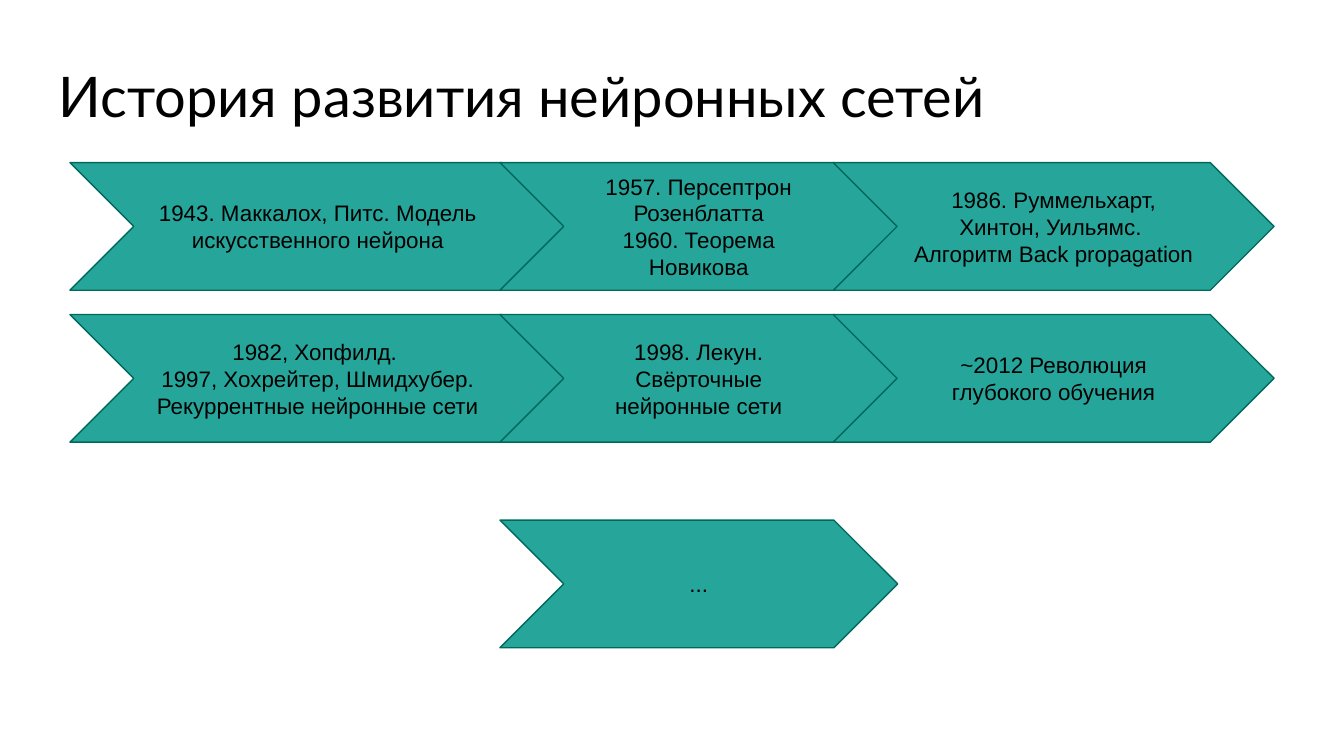
"""Build a slide with a chevron timeline of neural network history."""
from pptx import Presentation
from pptx.dml.color import RGBColor
from pptx.enum.shapes import MSO_SHAPE
from pptx.enum.text import MSO_ANCHOR, PP_ALIGN
from pptx.util import Inches, Pt

CHEVRON = MSO_SHAPE.CHEVRON
TOP, MIDDLE = MSO_ANCHOR.TOP, MSO_ANCHOR.MIDDLE
LEFT, CENTER = PP_ALIGN.LEFT, PP_ALIGN.CENTER

COLORS = {"fill": "26A69A", "line": "00695C", "text": "000000"}
SLIDE_WIDTH = 10
SLIDE_HEIGHT = SLIDE_WIDTH * 9 / 16
TITLE = "История развития нейронных сетей"
COLUMNS = [(0.52, 3.69), (3.72, 2.96), (6.2, 3.28)]
STEP_HEIGHT = 0.95
ROWS = [
    (1.21, [
        (0, ["1943. Маккалох, Питс. Модель искусственного нейрона"]),
        (1, ["1957. Персептрон Розенблатта", "1960. Теорема Новикова"]),
        (2, ["1986. Руммельхарт, Хинтон, Уильямс. ", "Алгоритм Back propagation"]),
    ]),
    (2.34, [
        (0, ["1982, Хопфилд. ", "1997, Хохрейтер, Шмидхубер.",
             "Рекуррентные нейронные сети"]),
        (1, ["1998. Лекун. Свёрточные нейронные сети"]),
        (2, ["~2012 Революция глубокого обучения"]),
    ]),
    (3.87, [(1, ["..."])]),
]


def color(name):
    return RGBColor.from_string(COLORS[name])


def write(frame, lines, font_name, size, align, anchor):
    frame.word_wrap = True
    frame.vertical_anchor = anchor
    frame.margin_left = frame.margin_right = Inches(0.1)
    frame.margin_top = frame.margin_bottom = Inches(0.1)
    for index, line in enumerate(lines):
        paragraph = frame.add_paragraph() if index else frame.paragraphs[0]
        paragraph.text = line
        paragraph.alignment = align
        paragraph.font.name = font_name
        paragraph.font.size = Pt(size)
        paragraph.font.color.rgb = color("text")


def add_step(slide, column, top, lines):
    left, width = COLUMNS[column]
    step = slide.shapes.add_shape(
        CHEVRON, Inches(left), Inches(top), Inches(width), Inches(STEP_HEIGHT))
    step.adjustments[0] = 0.5
    step.shadow.inherit = False
    step.fill.solid()
    step.fill.fore_color.rgb = color("fill")
    step.line.color.rgb = color("line")
    step.line.width = Pt(0.75)
    write(step.text_frame, lines, "Arial", 12, CENTER, MIDDLE)


def main():
    deck = Presentation()
    deck.slide_width = Inches(SLIDE_WIDTH)
    deck.slide_height = Inches(SLIDE_HEIGHT)
    slide = deck.slides.add_slide(deck.slide_layouts[6])
    title = slide.shapes.add_textbox(
        Inches(0.34), Inches(0.36), Inches(9.32), Inches(0.63))
    write(title.text_frame, [TITLE], "Lato", 30, LEFT, TOP)
    for top, steps in ROWS:
        for column, lines in steps:
            add_step(slide, column, top, lines)
    deck.save("out.pptx")


if __name__ == "__main__":
    main()
